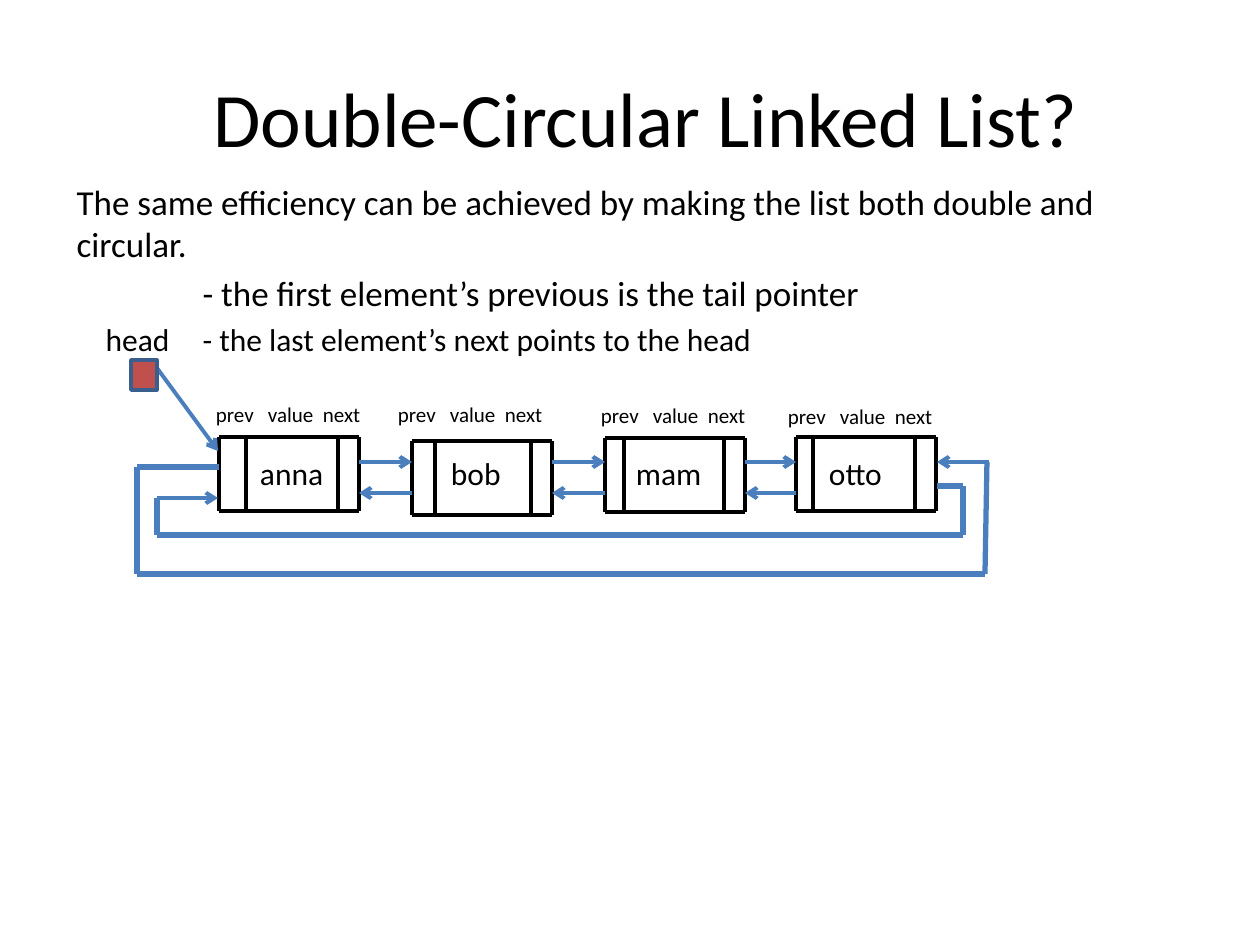
import pptx
import pptx.dml.color
import pptx.enum.shapes
import pptx.enum.text
import pptx.oxml
import pptx.oxml.ns
import pptx.util
from lxml import etree

SCALE = 914400 / 126
COLORS = {
    "text": "000000",
    "node": "000000",
    "link": "4B7EBC",
    "head": "C0504D",
    "head_edge": "3A5F8C",
}
FONT = "Calibri"
NODE_WIDTH = 140
NODE_HEIGHT = 74
NODES = [(219, 437), (412, 441), (605, 438), (796, 437)]
VALUES = [("anna", 260), ("bob", 451), ("mam", 636), ("otto", 829)]
LABELS = [(216, 402), (398, 402), (601, 403), (788, 404)]
FIELDS = [("prev", 0), ("value", 52), ("next", 107)]


def px(value):
    return pptx.util.Emu(round(value * SCALE))


def rgb(name):
    return pptx.dml.color.RGBColor.from_string(COLORS[name])


def add_child(parent, tag, **attributes):
    child = etree.SubElement(parent, pptx.oxml.ns.qn(tag))
    for key, value in attributes.items():
        child.set(key, str(value))
    return child


def write(para, text, size=18, align=None, margin=0, indent=0, bullet=True):
    span = para.add_run()
    span.text = text
    span.font.name = FONT
    span.font.size = pptx.util.Pt(size)
    span.font.color.rgb = rgb("text")
    para.alignment = align
    properties = para._p.get_or_add_pPr()
    properties.set("marL", str(px(margin)))
    properties.set("indent", str(px(indent)))
    if not bullet:
        add_child(properties, "a:buNone")


def place(box, left, top, width, height):
    box.left, box.top = px(left), px(top)
    box.width, box.height = px(width), px(height)


def add_text(page, left, top, width, height, text, **style):
    box = page.shapes.add_textbox(px(left), px(top), px(width), px(height))
    frame = box.text_frame
    frame.word_wrap = True
    frame.margin_left = frame.margin_right = 0
    frame.margin_top = frame.margin_bottom = 0
    write(frame.paragraphs[0], text, **style)


def add_line(page, start, end, color="link", weight=2.25, arrow=False):
    line = page.shapes.add_connector(
        pptx.enum.shapes.MSO_CONNECTOR.STRAIGHT, *map(px, (*start, *end))
    )
    line.line.color.rgb = rgb(color)
    line.line.width = pptx.util.Pt(weight)
    if arrow:
        add_child(line.line._get_or_add_ln(), "a:tailEnd", type="arrow")
    add_child(line._element.spPr, "a:effectLst")


def add_title(page):
    title = page.shapes.title
    place(title, 63, 38, 1166, 158)
    title.text_frame.vertical_anchor = pptx.enum.text.MSO_ANCHOR.MIDDLE
    write(
        title.text_frame.paragraphs[0],
        "Double-Circular Linked List?",
        size=44,
        align=pptx.enum.text.PP_ALIGN.CENTER,
    )


def add_body(page):
    body = page.placeholders[1]
    place(body, 64, 174, 1134, 220)
    frame = body.text_frame
    frame.auto_size = pptx.enum.text.MSO_AUTO_SIZE.NONE
    write(
        frame.paragraphs[0],
        "The same efficiency can be achieved by making the list both double and circular.",
        size=20,
        bullet=False,
    )
    write(
        frame.add_paragraph(),
        "- the first element’s previous is the tail pointer",
        size=20,
        margin=126,
        bullet=False,
    )
    write(
        frame.add_paragraph(),
        "head\t- the last element’s next points to the head",
        indent=29,
        bullet=False,
    )


def add_node(page, left, top, divider):
    right, bottom = left + NODE_WIDTH, top + NODE_HEIGHT
    for y in (top, bottom):
        add_line(page, (left, y), (right, y), color="node")
    for x in (left, divider, left + 119, right):
        add_line(page, (x, top), (x, bottom), color="node")


def add_nodes(page):
    for index, (left, top) in enumerate(NODES):
        add_node(page, left, top, 246 + 189 * index)
    for value, left in VALUES:
        add_text(page, left, 454, 75, 40, value)
    for left, top in LABELS:
        for field, offset in FIELDS:
            add_text(page, left + offset, top, 50, 26, field, size=12)


def add_links(page):
    for (left, _), (following, _) in zip(NODES, NODES[1:]):
        right = left + NODE_WIDTH
        add_line(page, (right, 462), (following, 462), arrow=True)
        add_line(page, (following, 493), (right, 493), arrow=True)


def add_route(page, points):
    for start, end in zip(points, points[1:]):
        add_line(page, start, end, weight=3)


def add_loops(page):
    add_route(page, [(219, 467), (137, 467), (137, 574), (985, 574), (987, 462)])
    add_line(page, (989, 462), (937, 462), arrow=True)
    add_route(page, [(937, 486), (963, 486), (963, 535), (157, 535), (157, 498)])
    add_line(page, (157, 498), (218, 498), arrow=True)


def add_head(page):
    add_line(page, (157, 368), (218, 451), arrow=True)
    head = page.shapes.add_shape(
        pptx.enum.shapes.MSO_SHAPE.RECTANGLE, px(131), px(360), px(26), px(30)
    )
    head.shadow.inherit = False
    head.fill.solid()
    head.fill.fore_color.rgb = rgb("head")
    head.line.color.rgb = rgb("head_edge")
    head.line.width = pptx.util.Pt(2)


def main():
    deck = pptx.Presentation()
    deck.slide_width, deck.slide_height = px(1260), px(945)
    page = deck.slides.add_slide(deck.slide_layouts[1])
    add_title(page)
    add_body(page)
    add_nodes(page)
    add_links(page)
    add_loops(page)
    add_head(page)
    deck.save("out.pptx")


if __name__ == "__main__":
    main()
